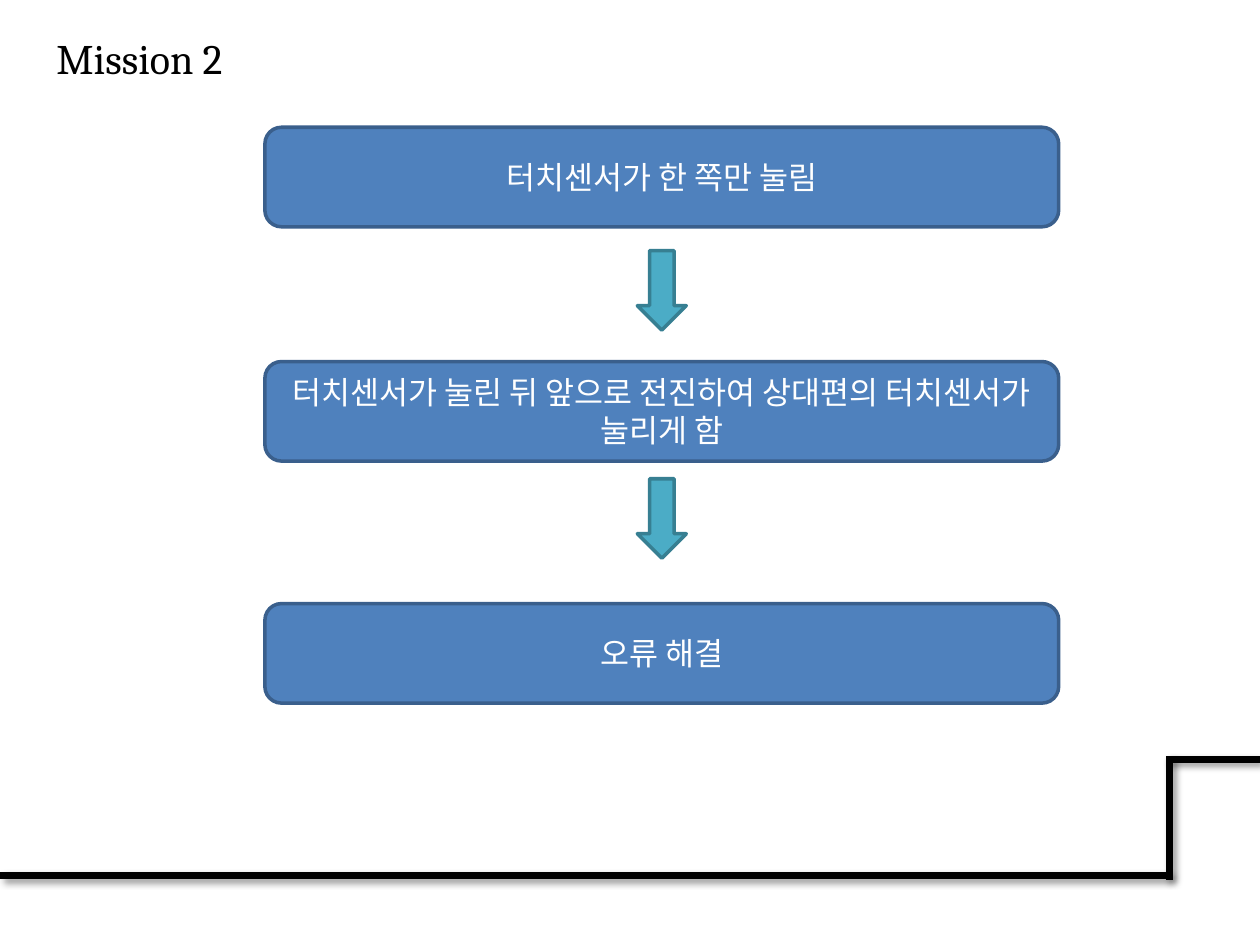
"""Build the Mission 2 flow slide."""
from pptx import Presentation
from pptx.dml.color import RGBColor
from pptx.enum.shapes import MSO_CONNECTOR as Line, MSO_SHAPE as Form
from pptx.enum.text import MSO_ANCHOR as Anchor, MSO_AUTO_SIZE as Fit, PP_ALIGN as Align
from pptx.oxml import parse_xml
from pptx.oxml.ns import nsdecls, qn
from pptx.util import Pt

TITLE = "Mission 2"
STEPS = [
    (72.7, "터치센서가 한 쪽만 눌림"),
    (206.6, "터치센서가 눌린 뒤 앞으로 전진하여 상대편의 터치센서가 눌리게 함"),
    (344.9, "오류 해결"),
]
ARROWS = [143.3, 273.6]
EDGES = [
    (666.7, 434.2, 720, 434.2),
    (668.2, 502.6, 668.2, 432),
    (0, 500.4, 668.2, 500.4),
]
MID = 378.2
BOX = (453.6, 56.9)
ARROW = (28, 45.4)
SHADOW = (
    f'<a:effectLst {nsdecls("a")}><a:outerShdw blurRad="{Pt(4)}" dist="{Pt(3)}" '
    'dir="2700000" algn="tl" rotWithShape="0"><a:srgbClr val="000000">'
    '<a:alpha val="40000"/></a:srgbClr></a:outerShdw></a:effectLst>'
)


def color(code):
    return RGBColor.from_string(code)


def style(part, size, face, code):
    for run in part.runs:
        run.font.size = Pt(size)
        run.font.name = face
        run.font.color.rgb = color(code)
        props = run.font._element
        props.get_or_add_latin().addnext(
            props.makeelement(qn("a:ea"), {"typeface": face}))


def add_form(slide, form, top, size, fill, edge):
    wide, high = size
    shape = slide.shapes.add_shape(
        form, Pt(MID - wide / 2), Pt(top), Pt(wide), Pt(high))
    shape.shadow.inherit = False
    shape.fill.solid()
    shape.fill.fore_color.rgb = color(fill)
    shape.line.color.rgb = color(edge)
    shape.line.width = Pt(2)
    return shape


def add_title(slide):
    frame = slide.shapes.add_textbox(Pt(25.2), Pt(15.1), Pt(110.9), Pt(36)).text_frame
    frame.word_wrap = False
    frame.auto_size = Fit.SHAPE_TO_FIT_TEXT
    frame.text = TITLE
    style(frame.paragraphs[0], 24, "Cambria", "000000")


def add_edge(slide, ends):
    edge = slide.shapes.add_connector(Line.STRAIGHT, *map(Pt, ends))
    edge.line.color.rgb = color("000000")
    edge.line.width = Pt(4)
    edge._element.spPr.append(parse_xml(SHADOW))


def add_step(slide, top, text):
    shape = add_form(slide, Form.FLOWCHART_ALTERNATE_PROCESS, top, BOX, "4F81BD", "3A5F8C")
    frame = shape.text_frame
    frame.word_wrap = True
    frame.vertical_anchor = Anchor.MIDDLE
    frame.text = text
    part = frame.paragraphs[0]
    part.alignment = Align.CENTER
    style(part, 18, "Noto Sans CJK KR", "FFFFFF")


def main():
    deck = Presentation()
    deck.slide_width, deck.slide_height = Pt(720), Pt(540)
    slide = deck.slides.add_slide(deck.slide_layouts[6])
    add_title(slide)
    for ends in EDGES:
        add_edge(slide, ends)
    for top, text in STEPS:
        add_step(slide, top, text)
    for top in ARROWS:
        add_form(slide, Form.DOWN_ARROW, top, ARROW, "4BACC6", "377F92")
    deck.save("out.pptx")


if __name__ == "__main__":
    main()
